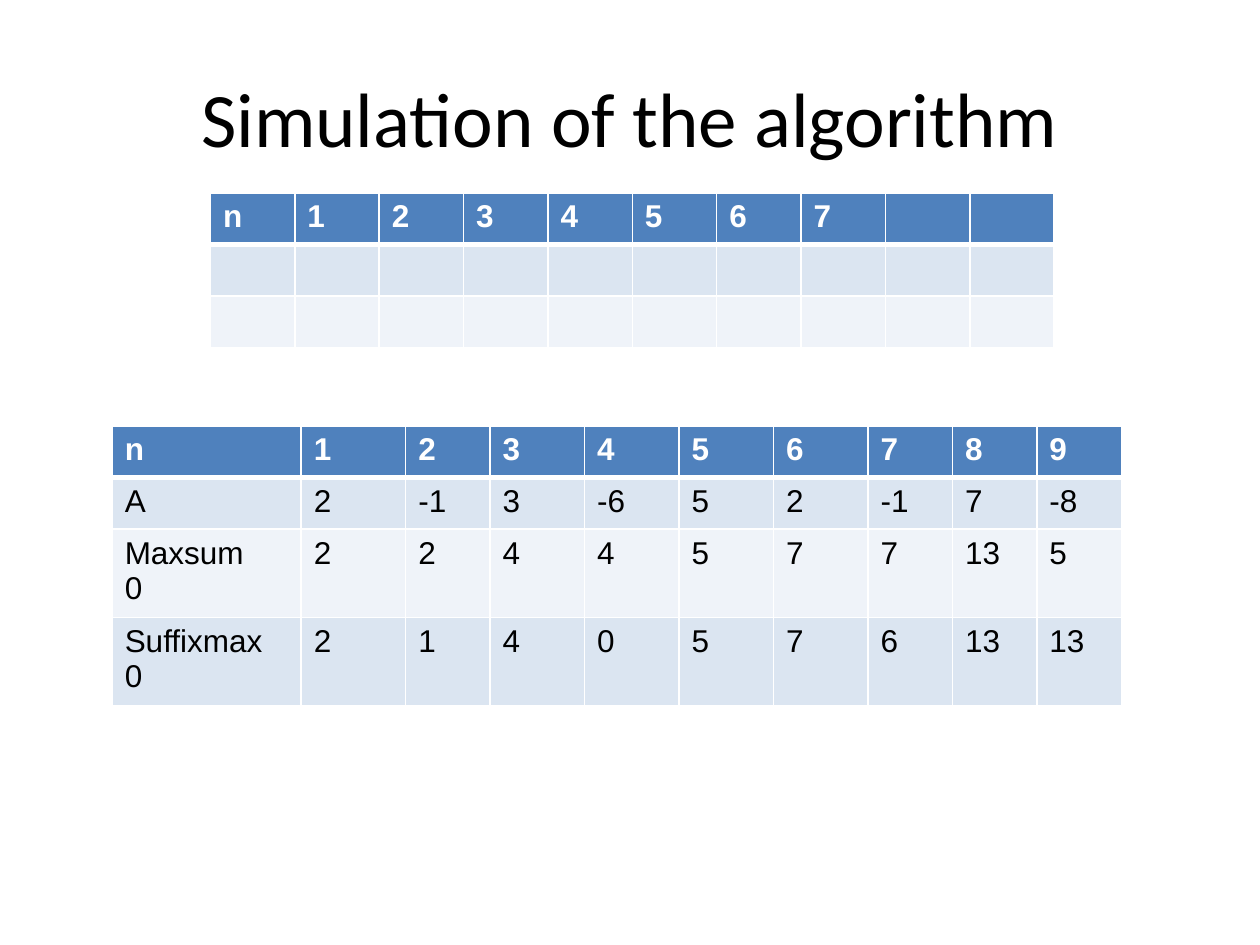
import lxml.etree
import pptx
import pptx.dml.color
import pptx.enum.text
import pptx.oxml.ns
import pptx.util

Inches = pptx.util.Inches
Pt = pptx.util.Pt


def color(value):
    return pptx.dml.color.RGBColor.from_string(value)


def format_runs(text_frame, font_values, font_color):
    for paragraph in text_frame.paragraphs:
        for run in paragraph.runs:
            for name, value in font_values.items():
                setattr(run.font, name, value)
            run.font.color.rgb = color(font_color)


presentation = pptx.Presentation()
presentation.slide_width = Inches(10)
presentation.slide_height = Inches(7.5)
slide = presentation.slides.add_slide(presentation.slide_layouts[6])

title = slide.shapes.add_textbox(Inches(0.5), Inches(0.3), Inches(9), Inches(1.25))
title_frame = title.text_frame
title_frame.word_wrap = True
title_frame.vertical_anchor = pptx.enum.text.MSO_ANCHOR.MIDDLE
title_frame.text = "Simulation of the algorithm"
title_frame.paragraphs[0].alignment = pptx.enum.text.PP_ALIGN.CENTER
format_runs(title_frame, {"name": "Calibri", "size": Pt(44)}, "000000")

row_height = 0.41
header_fill = "4F81BD"
band_fills = ["EFF3F9", "DBE5F1"]
tables = [
    {
        "left": 1.67,
        "top": 1.53,
        "widths": [0.67] * 10,
        "rows": [["n", *"1234567", "", ""], [""] * 10, [""] * 10],
    },
    {
        "left": 0.89,
        "top": 3.38,
        "widths": [1.5, 0.83, 0.67] + [0.75] * 4 + [0.67] * 3,
        "rows": [
            ["n", 1, 2, 3, 4, 5, 6, 7, 8, 9],
            ["A", 2, -1, 3, -6, 5, 2, -1, 7, -8],
            ["Maxsum\v0", 2, 2, 4, 4, 5, 7, 7, 13, 5],
            ["Suffixmax\v0", 2, 1, 4, 0, 5, 7, 6, 13, 13],
        ],
    },
]

for data in tables:
    rows, widths = data["rows"], data["widths"]
    table = slide.shapes.add_table(
        len(rows), len(widths), Inches(data["left"]), Inches(data["top"]),
        Inches(sum(widths)), Inches(row_height * len(rows)),
    ).table
    for column, width in zip(table.columns, widths):
        column.width = Inches(width)
    for row_index, row in enumerate(rows):
        table.rows[row_index].height = Inches(row_height)
        is_header = row_index == 0
        border_widths = {
            "lnL": 1,
            "lnR": 1,
            "lnT": 3 if row_index == 1 else 1,
            "lnB": 3 if is_header else 1,
        }
        for column_index, value in enumerate(row):
            cell = table.cell(row_index, column_index)
            properties = cell._tc.get_or_add_tcPr()
            for tag, width in border_widths.items():
                line = lxml.etree.SubElement(
                    properties, pptx.oxml.ns.qn(f"a:{tag}"), w=str(Pt(width))
                )
                fill = lxml.etree.SubElement(line, pptx.oxml.ns.qn("a:solidFill"))
                lxml.etree.SubElement(fill, pptx.oxml.ns.qn("a:srgbClr"), val="FFFFFF")
            cell.fill.solid()
            cell.fill.fore_color.rgb = color(
                header_fill if is_header else band_fills[row_index % 2]
            )
            cell.text_frame.text = str(value)
            format_runs(
                cell.text_frame,
                {"name": "Arial", "size": Pt(18), "bold": is_header},
                "FFFFFF" if is_header else "000000",
            )

presentation.save("out.pptx")
